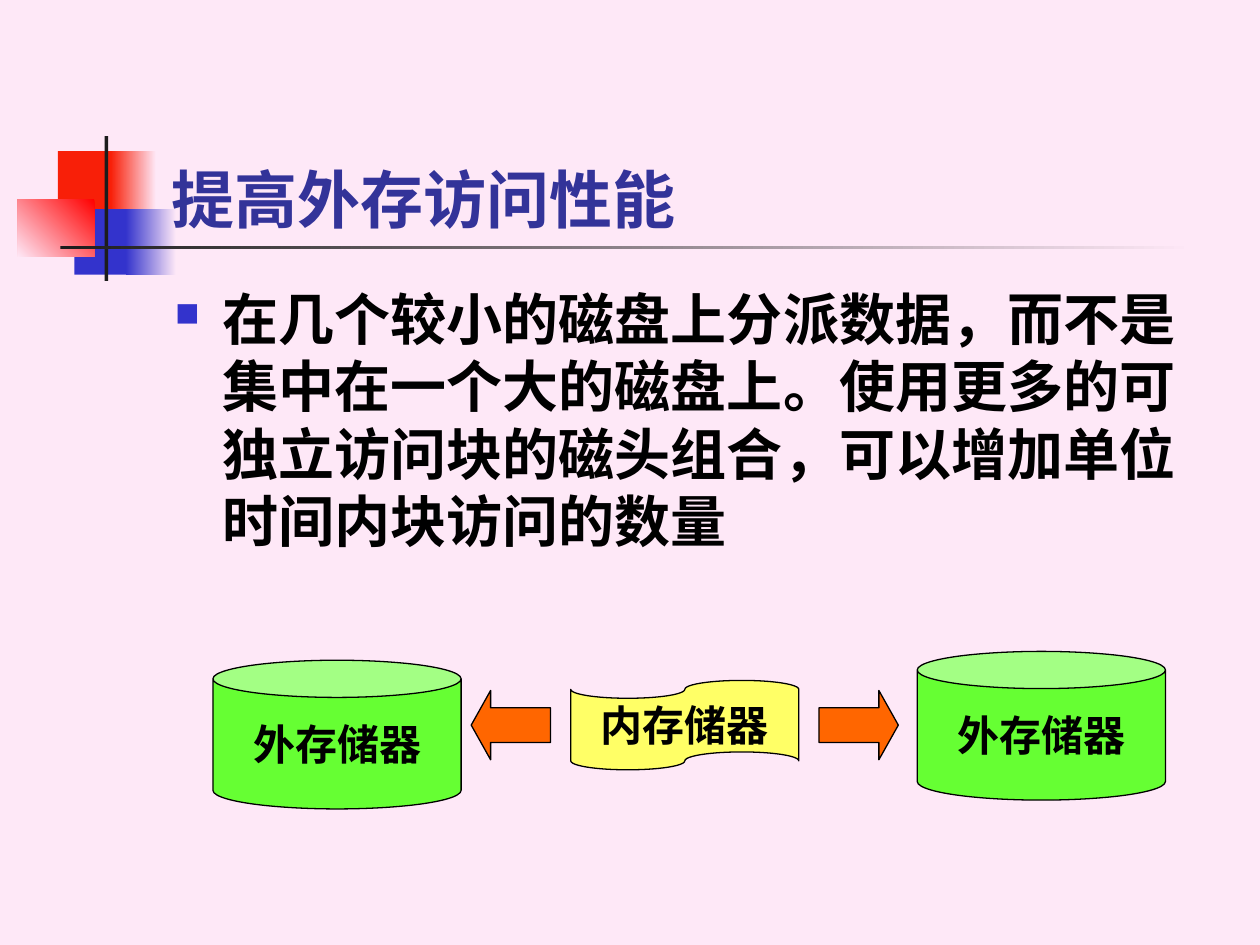
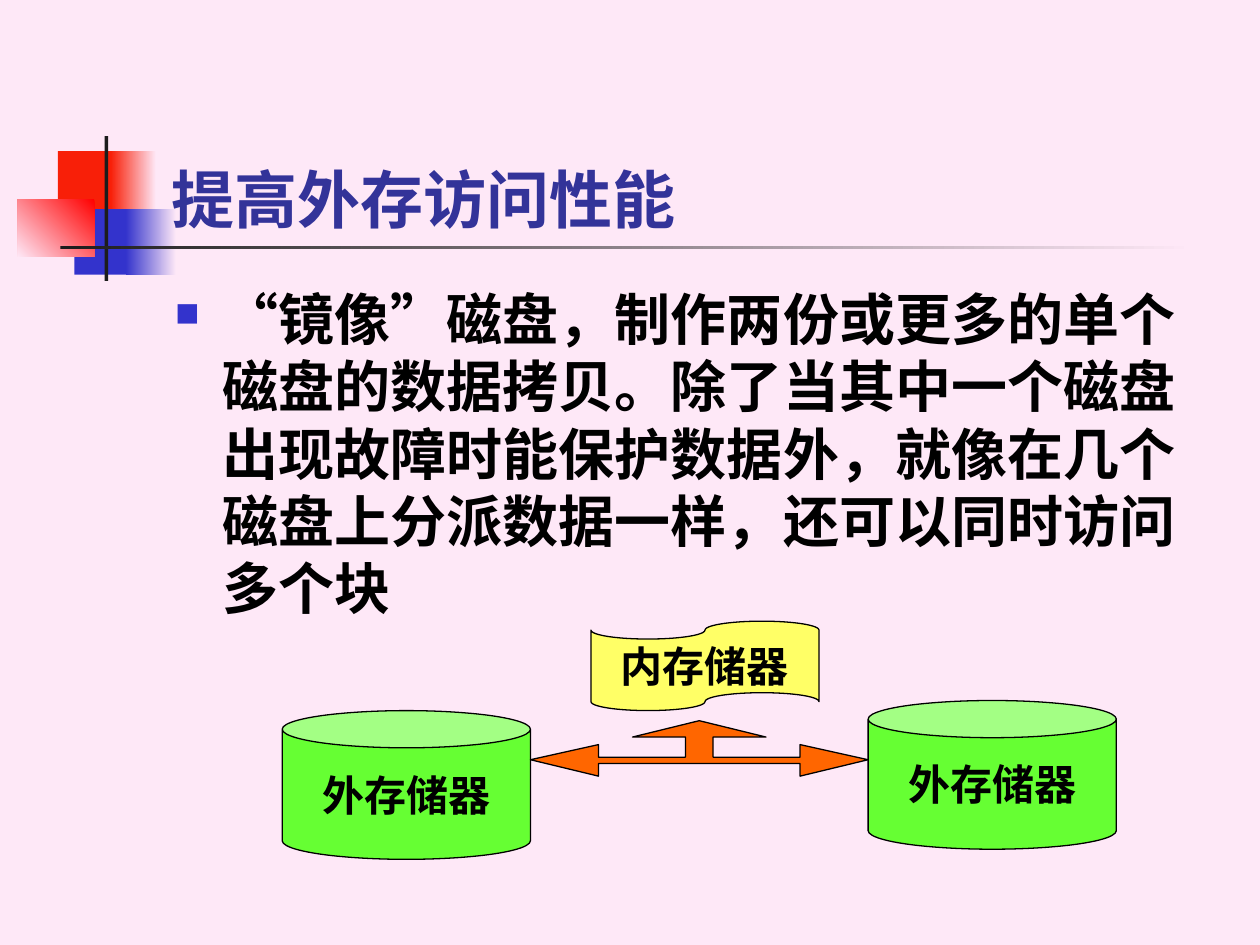
import pptx
import pptx.util
import pptx.dml.color
import pptx.enum.lang
import pptx.enum.shapes
import pptx.enum.text
import lxml.etree

Inches, Pt = pptx.util.Inches, pptx.util.Pt
SHAPE = pptx.enum.shapes.MSO_SHAPE
ANCHOR = pptx.enum.text.MSO_ANCHOR
ALIGN = pptx.enum.text.PP_ALIGN

COLORS = {
    "background": "FEE8F7", "red": "F81F08", "bright_red": "FF0000",
    "blue": "3333CC", "rule": "1C1C1C", "title": "333399", "ink": "000000",
    "disk": "66FF33", "memory": "FFFF66", "arrow": "FF6600",
}
HEADING_FONT, LABEL_FONT = "Cabin", "Times New Roman"
TITLE = "提高外存访问性能"
TITLE_BOX = (1.26, 0.67, 8.52, 1.25)
BODY_BOX = (1.29, 2.21, 8.5, 4.5)
DISK_SIZE = (1.97, 1.18)
MEMORY_SIZE = (1.81, 0.71)
ARROW_SIZE = (0.63, 0.55)


def rgb(name):
    return pptx.dml.color.RGBColor.from_string(COLORS[name])


def inches(*lengths):
    return [Inches(length) for length in lengths]


def paint(shape, color, outlined=True):
    shape.shadow.inherit = False
    shape.fill.solid()
    shape.fill.fore_color.rgb = rgb(color)
    if outlined:
        shape.line.color.rgb = rgb("ink")
        shape.line.width = Pt(0.75)
    else:
        shape.line.fill.background()


def add_run(paragraph, text, font, size, color):
    run = paragraph.add_run()
    run.text = text
    run.font.name = font
    run.font.size = Pt(size)
    run.font.bold = True
    run.font.color.rgb = rgb(color)
    run.font.language_id = pptx.enum.lang.MSO_LANGUAGE_ID.SIMPLIFIED_CHINESE


def add_band(slide, box, color, fade_to=None, angle=0):
    band = slide.shapes.add_shape(SHAPE.RECTANGLE, *inches(*box))
    paint(band, color, outlined=False)
    if fade_to:
        band.fill.gradient()
        band.fill.gradient_angle = angle
        for stop, name in zip(band.fill.gradient_stops, (color, fade_to)):
            stop.color.rgb = rgb(name)


def add_decoration(slide, left, top):
    """Overlapping colour blocks with a cross of two rules."""
    bands = [
        ((0.32, 0.12, 0.48, 0.52), "red"),
        ((0.74, 0.12, 0.36, 0.52), "red", "background"),
        ((0.45, 0.58, 0.46, 0.52), "blue"),
        ((0.86, 0.58, 0.4, 0.52), "blue", "background"),
        ((0, 0.5, 0.61, 0.46), "bright_red", "background", 225),
        ((0.69, 0, 0.03, 1.15), "rule"),
        ((0.34, 0.87, 9, 0.03), "rule", "background"),
    ]
    for (x, y, width, height), *colors in bands:
        add_band(slide, (left + x, top + y, width, height), *colors)


def add_text_box(slide, box, anchor):
    frame = slide.shapes.add_textbox(*inches(*box)).text_frame
    frame.word_wrap = True
    frame.vertical_anchor = anchor
    return frame.paragraphs[0]


def add_title(slide, box):
    add_run(add_text_box(slide, box, ANCHOR.BOTTOM),
            TITLE, HEADING_FONT, 36, "title")


def add_body(slide, box, text):
    point = add_text_box(slide, box, ANCHOR.TOP)
    point.space_before = Pt(8)
    add_run(point, text, HEADING_FONT, 32, "ink")
    # Small square bullet with a hanging indent
    properties = point._p.get_or_add_pPr()
    properties.set("marL", str(Inches(0.38)))
    properties.set("indent", str(-Inches(0.38)))
    namespace = properties.nsmap["a"]

    def add_bullet_part(tag, parent=properties, **attributes):
        return lxml.etree.SubElement(parent, f"{{{namespace}}}{tag}", attributes)

    add_bullet_part("srgbClr", add_bullet_part("buClr"), val=COLORS["blue"])
    add_bullet_part("buSzPct", val="60000")
    add_bullet_part("buChar", char="■")


def add_store(slide, kind, left, top, size, color, label):
    store = slide.shapes.add_shape(kind, *inches(left, top, *size))
    paint(store, color)
    frame = store.text_frame
    frame.word_wrap = False
    frame.vertical_anchor = ANCHOR.MIDDLE
    paragraph = frame.paragraphs[0]
    paragraph.alignment = ALIGN.CENTER
    paragraph.space_before = Pt(15)
    add_run(paragraph, label, LABEL_FONT, 24, "ink")


def add_disk(slide, left, top):
    add_store(slide, SHAPE.CAN, left, top, DISK_SIZE, "disk", "外存储器")


def add_memory(slide, left, top):
    add_store(slide, SHAPE.FLOWCHART_PUNCHED_TAPE, left, top, MEMORY_SIZE,
              "memory", "内存储器")


def add_spread_diagram(slide, left, top):
    """Memory in the middle, one arrow out to each disk."""
    add_disk(slide, left, top + 0.07)
    add_disk(slide, left + 5.59, top)
    add_memory(slide, left + 2.84, top + 0.23)
    for kind, x in ((SHAPE.LEFT_ARROW, 2.05), (SHAPE.RIGHT_ARROW, 4.81)):
        arrow = slide.shapes.add_shape(
            kind, *inches(left + x, top + 0.31, *ARROW_SIZE))
        arrow.adjustments[1] = 0.28
        paint(arrow, "arrow")


def add_three_way_arrow(slide, center, top):
    """Flat arrow up, left and right, mirrored about its centre."""
    right_half = [(0, 0), (0.53, 0.13), (0.11, 0.13), (0.11, 0.29),
                  (0.8, 0.29), (0.8, 0.19), (1.34, 0.31), (0.8, 0.44),
                  (0.8, 0.34)]
    left_half = [(-x, y) for x, y in reversed(right_half[1:])]
    points = [inches(center + x, top + y) for x, y in right_half + left_half]
    builder = slide.shapes.build_freeform(*points[0])
    builder.add_line_segments(points[1:], close=True)
    paint(builder.convert_to_shape(), "arrow")


def add_mirror_diagram(slide, left, top):
    """Memory above two mirrored disks, joined by a three-way arrow."""
    add_disk(slide, left, top + 0.71)
    add_disk(slide, left + 4.65, top + 0.63)
    add_three_way_arrow(slide, left + 3.31, top + 0.79)
    add_memory(slide, left + 2.45, top)


def add_content_slide(deck, text, add_diagram, left, top):
    slide = deck.slides.add_slide(deck.slide_layouts[6])
    slide.background.fill.solid()
    slide.background.fill.fore_color.rgb = rgb("background")
    add_decoration(slide, 0.14, 1.08)
    add_title(slide, TITLE_BOX)
    add_body(slide, BODY_BOX, text)
    add_diagram(slide, left, top)


def main():
    deck = pptx.Presentation()
    deck.slide_width, deck.slide_height = inches(10, 7.5)
    add_content_slide(
        deck,
        "在几个较小的磁盘上分派数据，而不是集中在一个大的磁盘上。"
        "使用更多的可独立访问块的磁头组合，可以增加单位时间内块访问的数量",
        add_spread_diagram, 1.69, 5.17)
    add_content_slide(
        deck,
        "“镜像”磁盘，制作两份或更多的单个磁盘的数据拷贝。"
        "除了当其中一个磁盘出现故障时能保护数据外，"
        "就像在几个磁盘上分派数据一样，还可以同时访问多个块",
        add_mirror_diagram, 2.24, 4.93)
    deck.save("out.pptx")


if __name__ == "__main__":
    main()
